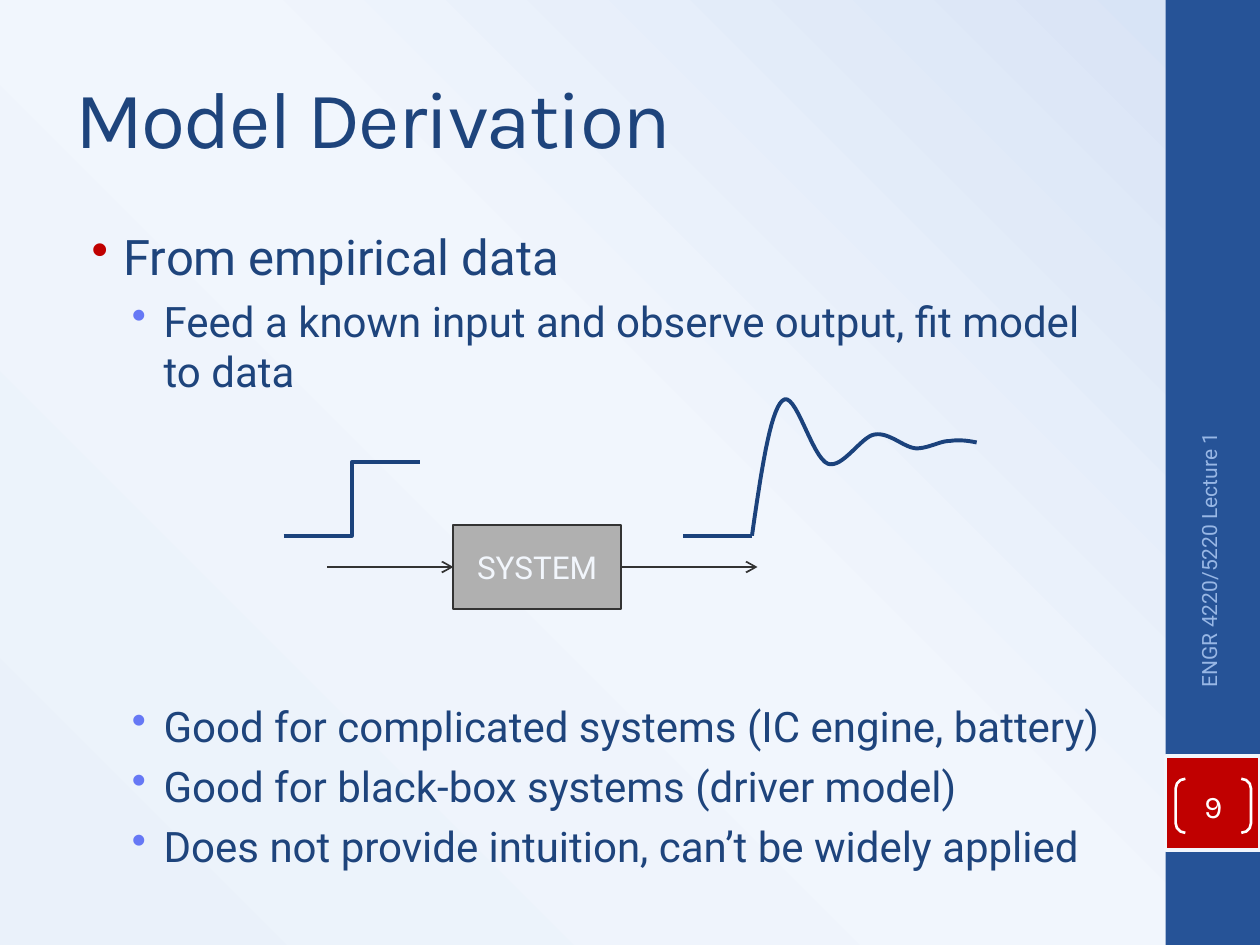
from dataclasses import dataclass

from lxml import etree
from pptx import Presentation
from pptx import util as u
from pptx.dml import color
from pptx.enum import shapes, text
from pptx.oxml import ns

NAVY, CURVE, RED, PALE, GREY = "1E447C", "1B427C", "C00000", "F2F6FC", "333333"
ALIGN, ANCHOR, KIND = text.PP_ALIGN, text.MSO_ANCHOR, shapes.MSO_SHAPE


@dataclass(frozen=True)
class Box:
    left: float
    top: float
    width: float
    height: float

    def lengths(self) -> list:
        return [u.Cm(v) for v in (self.left, self.top, self.width, self.height)]


@dataclass(frozen=True)
class Style:
    size: float
    font: str
    hue: str
    align: ALIGN = ALIGN.LEFT
    anchor: ANCHOR = ANCHOR.MIDDLE


@dataclass(frozen=True)
class Point:
    words: str
    size: float
    bullet: str
    indent: float
    level: int
    before: float


@dataclass(frozen=True)
class Link:
    start: tuple
    end: tuple
    hue: str
    weight: float
    kind: shapes.MSO_CONNECTOR = shapes.MSO_CONNECTOR.STRAIGHT
    arrow: bool = False


def rgb(hue: str) -> color.RGBColor:
    return color.RGBColor.from_string(hue)


def add_xml(parent, tag: str, **attributes):
    return etree.SubElement(parent, ns.qn(tag), attributes)


def format_line(line, hue: str, weight: float) -> None:
    line.color.rgb = rgb(hue)
    line.width = u.Pt(weight)


def format_runs(paragraph, size: float, font: str, hue: str) -> None:
    for run in paragraph.runs:
        run.font.size, run.font.name = u.Pt(size), font
        run.font.color.rgb = rgb(hue)


def write(frame, words: str, style: Style) -> None:
    frame.word_wrap = True
    frame.vertical_anchor = style.anchor
    frame.text = words
    frame.paragraphs[0].alignment = style.align
    format_runs(frame.paragraphs[0], style.size, style.font, style.hue)


def draw_shape(slide, kind: KIND, box: Box, fill: str = "", line: str = "", weight: float = 1):
    shape = slide.shapes.add_shape(kind, *box.lengths())
    shape.shadow.inherit = False
    if fill:
        shape.fill.solid()
        shape.fill.fore_color.rgb = rgb(fill)
    else:
        shape.fill.background()
    if line:
        format_line(shape.line, line, weight)
    else:
        shape.line.fill.background()
    return shape


def draw_text(slide, box: Box, words: str, style: Style):
    label = slide.shapes.add_textbox(*box.lengths())
    write(label.text_frame, words, style)
    return label


def draw_link(slide, link: Link):
    ends = [u.Cm(v) for v in (*link.start, *link.end)]
    connector = slide.shapes.add_connector(link.kind, *ends)
    format_line(connector.line, link.hue, link.weight)
    if link.arrow:
        add_xml(connector.line._get_or_add_ln(), "a:tailEnd", type="arrow")
    add_xml(connector._element.spPr, "a:effectLst")
    return connector


def draw_points(slide, box: Box, points: list[Point]) -> None:
    frame = slide.shapes.add_textbox(*box.lengths()).text_frame
    frame.word_wrap = True
    for number, point in enumerate(points):
        paragraph = frame.add_paragraph() if number else frame.paragraphs[0]
        paragraph.text = point.words
        paragraph.level = point.level
        paragraph.space_before = u.Pt(point.before)
        format_runs(paragraph, point.size, "Roboto", NAVY)
        properties = paragraph._p.get_or_add_pPr()
        properties.set("marL", str(u.Cm(point.indent)))
        properties.set("indent", str(u.Cm(-0.64)))
        add_xml(add_xml(properties, "a:buClr"), "a:srgbClr", val=point.bullet)
        add_xml(properties, "a:buChar", char="•")


def bezier(p0: tuple, p1: tuple, p2: tuple, p3: tuple, steps: int = 16) -> list[tuple]:
    """Return points along a cubic curve, without its start."""
    return [
        tuple((1 - t) ** 3 * a + 3 * (1 - t) ** 2 * t * b + 3 * (1 - t) * t**2 * c + t**3 * d
              for a, b, c, d in zip(p0, p1, p2, p3))
        for t in (step / steps for step in range(1, steps + 1))
    ]


def draw_curve(slide, start: tuple, segments: list[tuple]) -> None:
    trail = [start]
    for segment in segments:
        trail += bezier(trail[-1], *segment)
    nodes = [(u.Cm(x), u.Cm(y)) for x, y in trail]
    builder = slide.shapes.build_freeform(*nodes[0])
    builder.add_line_segments(nodes[1:], close=False)
    response = builder.convert_to_shape()
    response.shadow.inherit = False
    response.fill.background()
    format_line(response.line, CURVE, 2.25)


def paint_background(slide, stops: list[tuple]) -> None:
    slide.background.fill.gradient()
    gradient = slide._element.find(".//" + ns.qn("a:gradFill"))
    for child in list(gradient):
        gradient.remove(child)
    stop_list = add_xml(gradient, "a:gsLst")
    for percent, hue in stops:
        add_xml(add_xml(stop_list, "a:gs", pos=str(percent * 1000)), "a:srgbClr", val=hue)
    circle = add_xml(gradient, "a:path", path="circle")
    add_xml(circle, "a:fillToRect", t="100000", r="100000")


def main() -> None:
    deck = Presentation()
    deck.slide_width, deck.slide_height = u.Cm(25.4), u.Cm(19.05)
    slide = deck.slides.add_slide(deck.slide_layouts[6])
    paint_background(slide, [(0, "EAF1FA"), (52, "F1F6FD"), (100, "D6E2F5")])

    draw_shape(slide, KIND.RECTANGLE, Box(23.5, 0, 1.9, 19.05), "265397")
    draw_shape(slide, KIND.RECTANGLE, Box(23.5, 15.24, 1.9, 1.9), RED, PALE, 2)
    title = draw_text(slide, Box(1.27, 0.76, 21.16, 3.18), "Model Derivation", Style(46, "Karla", NAVY))
    title.text_frame.paragraphs[0].runs[0].font._element.set("spc", "-100")

    main_level, sub_level = (28, RED, 0.97, 0), (24, "6678F5", 1.78, 1)
    draw_points(slide, Box(1.27, 4.44, 21.16, 13.34), [
        Point("From empirical data", *main_level, 6.6),
        Point("Feed a known input and observe output, fit model to data", *sub_level, 5.6),
        Point("Good for complicated systems (IC engine, battery)", *sub_level, 174),
        Point("Good for black-box systems (driver model)", *sub_level, 5.6),
        Point("Does not provide intuition, can’t be widely applied", *sub_level, 5.6),
    ])
    footer = draw_text(slide, Box(21.08, 11.25, 6.58, 1.02), "ENGR 4220/5220 Lecture 1",
                       Style(12, "Roboto", "98B7E5", ALIGN.RIGHT))
    footer.rotation = 270

    system = draw_shape(slide, KIND.RECTANGLE, Box(9.14, 10.58, 3.38, 1.7), "B0B0B0", GREY)
    write(system.text_frame, "SYSTEM", Style(18, "Roboto", PALE, ALIGN.CENTER))
    signal_in = draw_link(slide, Link((6.6, 11.43), (9.14, 11.43), GREY, 1, arrow=True))
    signal_in.end_connect(system, 1)
    signal_out = draw_link(slide, Link((12.52, 11.43), (15.27, 11.43), GREY, 1, arrow=True))
    signal_out.begin_connect(system, 3)

    draw_link(slide, Link((5.72, 10.8), (8.46, 9.32), CURVE, 2.25, shapes.MSO_CONNECTOR.ELBOW))
    draw_curve(slide, (15.16, 10.8), [
        ((15.34, 9.55), (15.52, 8.31), (15.77, 8.08)),
        ((16.03, 7.82), (16.36, 9.22), (16.69, 9.35)),
        ((16.99, 9.45), (17.35, 8.81), (17.63, 8.76)),
        ((17.93, 8.71), (18.21, 9.02), (18.47, 9.04)),
        ((18.72, 9.04), (18.95, 8.89), (19.15, 8.89)),
        ((19.35, 8.86), (19.53, 8.89), (19.69, 8.92)),
    ])
    draw_link(slide, Link((13.77, 10.8), (15.16, 10.8), CURVE, 2.25))

    page = draw_shape(slide, KIND.DOUBLE_BRACKET, Box(23.7, 15.7, 1.52, 1.09), "", "FFFFFF", 1.5)
    page.adjustments[0] = 0.18
    frame = page.text_frame
    frame.margin_left = frame.margin_right = frame.margin_top = frame.margin_bottom = 0
    write(frame, "9", Style(18, "Karla", "FFFFFF", ALIGN.CENTER))
    deck.save("out.pptx")


if __name__ == "__main__":
    main()
